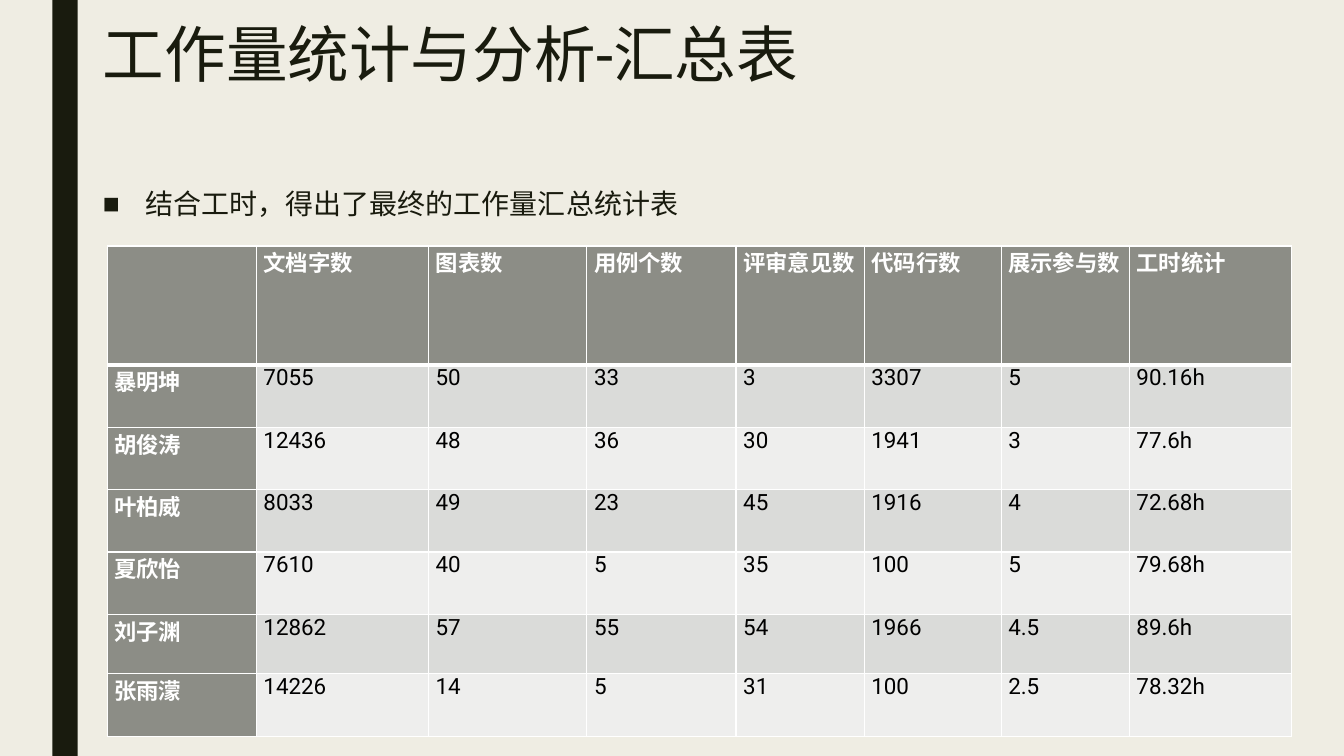
from dataclasses import dataclass

from lxml import etree
from pptx import Presentation
from pptx.dml import color
from pptx.enum import lang, shapes, text
from pptx.oxml import ns
from pptx.util import Cm, Pt


@dataclass(frozen=True)
class Theme:
    """Colours, font and type sizes of the slide."""
    paper: str = "EFEDE3"
    ink: str = "191B0E"
    white: str = "FFFFFF"
    black: str = "000000"
    heading_fill: str = "8C8D86"
    bands: tuple = ("DADBD9", "EEEEED")
    font: str = "Roboto"
    title_size: int = 44
    body_size: int = 20
    table_size: int = 16


THEME = Theme()
HEADINGS = ("", "文档字数", "图表数", "用例个数", "评审意见数", "代码行数", "展示参与数", "工时统计")
WORKLOADS = (
    ("暴明坤", "7055", "50", "33", "3", "3307", "5", "90.16h"),
    ("胡俊涛", "12436", "48", "36", "30", "1941", "3", "77.6h"),
    ("叶柏威", "8033", "49", "23", "45", "1916", "4", "72.68h"),
    ("夏欣怡", "7610", "40", "5", "35", "100", "5", "79.68h"),
    ("刘子渊", "12862", "57", "55", "54", "1966", "4.5", "89.6h"),
    ("张雨濛", "14226", "14", "5", "31", "100", "2.5", "78.32h"),
)
COLUMN_WIDTHS = (3.76, 4.34, 3.99, 3.76, 3.23, 3.45, 3.23, 4.09)
ROW_HEIGHTS = (3, 1.57, 1.57, 1.57, 1.57, 1.5, 1.57)


def rgb(value):
    """Turn a hex string into a colour."""
    return color.RGBColor.from_string(value)


def format_runs(paragraph, size, ink, bold=False):
    """Apply the theme font to every run of a paragraph."""
    for run in paragraph.runs:
        run.font.name = THEME.font
        run.font.size = Pt(size)
        run.font.bold = bold
        run.font.color.rgb = rgb(ink)
        run.font.language_id = lang.MSO_LANGUAGE_ID.SIMPLIFIED_CHINESE


def fill_placeholder(placeholder, wording, box, size, line_spacing):
    """Place a placeholder and set its single paragraph, which is returned."""
    placeholder.left, placeholder.top, placeholder.width, placeholder.height = map(Cm, box)
    frame = placeholder.text_frame
    frame.text = wording
    frame.word_wrap = True
    frame.auto_size = text.MSO_AUTO_SIZE.NONE
    frame.vertical_anchor = text.MSO_ANCHOR.TOP
    paragraph = frame.paragraphs[0]
    paragraph.alignment = text.PP_ALIGN.LEFT
    paragraph.line_spacing = line_spacing
    paragraph.space_before = Pt(0)
    format_runs(paragraph, size, THEME.ink)
    return paragraph


def add_bullet(paragraph, indent):
    """Give a paragraph a square bullet with a hanging indent."""
    properties = paragraph._p.get_or_add_pPr()
    properties.set("marL", str(indent))
    properties.set("indent", str(-indent))
    etree.SubElement(properties, ns.qn("a:buFont"), typeface="Arial")
    etree.SubElement(properties, ns.qn("a:buChar"), char="■")


def add_side_bar(slide, height):
    """Draw the dark vertical bar along the left edge."""
    bar = slide.shapes.add_shape(shapes.MSO_SHAPE.RECTANGLE, Cm(1.32), 0, Cm(0.64), height)
    bar.shadow.inherit = False
    bar.fill.solid()
    bar.fill.fore_color.rgb = rgb(THEME.ink)
    bar.line.fill.background()


def add_borders(cell, widths):
    """Draw white borders, with widths in points keyed by side."""
    properties = cell._tc.get_or_add_tcPr()
    for side, width in widths.items():
        line = etree.SubElement(properties, ns.qn(f"a:ln{side}"), w=str(Pt(width)))
        fill = etree.SubElement(line, ns.qn("a:solidFill"))
        etree.SubElement(fill, ns.qn("a:srgbClr"), val=THEME.white)


def fill_cell(cell, wording, row, column):
    """Write one cell and style it by its place in the table."""
    is_heading = row == 0 or column == 0
    cell.text = wording
    cell.margin_left = cell.margin_right = Cm(0.18)
    cell.margin_top = cell.margin_bottom = 0
    cell.vertical_anchor = text.MSO_ANCHOR.TOP
    paragraph = cell.text_frame.paragraphs[0]
    paragraph.alignment = text.PP_ALIGN.JUSTIFY
    format_runs(paragraph, THEME.table_size, THEME.white if is_heading else THEME.black, is_heading)
    add_borders(cell, {"L": 1, "R": 1, "T": 3 if row == 1 else 1, "B": 3 if row == 0 else 1})
    cell.fill.solid()
    cell.fill.fore_color.rgb = rgb(THEME.heading_fill if is_heading else THEME.bands[(row - 1) % 2])


def add_workload_table(slide):
    """Add the summary table of everyone's workload."""
    records = (HEADINGS, *WORKLOADS)
    table = slide.shapes.add_table(
        len(records), len(HEADINGS), Cm(2.7), Cm(6.2),
        Cm(sum(COLUMN_WIDTHS)), Cm(sum(ROW_HEIGHTS))).table
    table.first_col = True
    for column, width in zip(table.columns, COLUMN_WIDTHS):
        column.width = Cm(width)
    for row, height in zip(table.rows, ROW_HEIGHTS):
        row.height = Cm(height)
    for row, record in enumerate(records):
        for column, wording in enumerate(record):
            fill_cell(table.cell(row, column), wording, row, column)


def main():
    """Build and save the slide."""
    deck = Presentation()
    deck.slide_width, deck.slide_height = Cm(33.87), Cm(19.05)
    slide = deck.slides.add_slide(deck.slide_layouts[1])
    slide.background.fill.solid()
    slide.background.fill.fore_color.rgb = rgb(THEME.paper)
    add_side_bar(slide, deck.slide_height)
    title, body = slide.placeholders
    fill_placeholder(title, "工作量统计与分析-汇总表", (2.34, 0.5, 29.2, 3.68), THEME.title_size, 0.89)
    summary = fill_placeholder(
        body, "结合工时，得出了最终的工作量汇总统计表", (2.34, 4.65, 29.2, 12.1), THEME.body_size, 0.94)
    summary.space_after = Pt(2)
    add_bullet(summary, Cm(1.07))
    add_workload_table(slide)
    deck.save("out.pptx")


if __name__ == "__main__":
    main()
